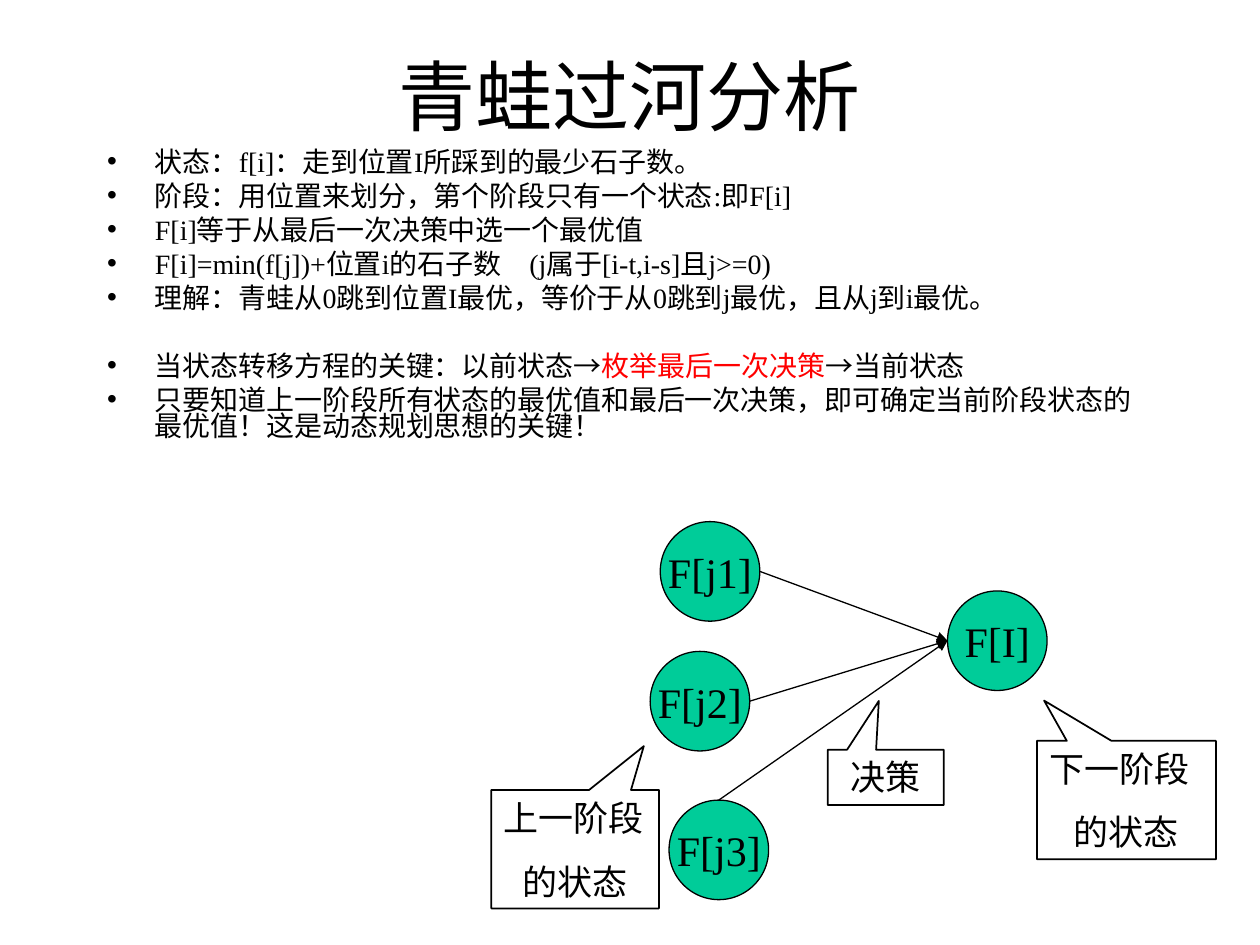
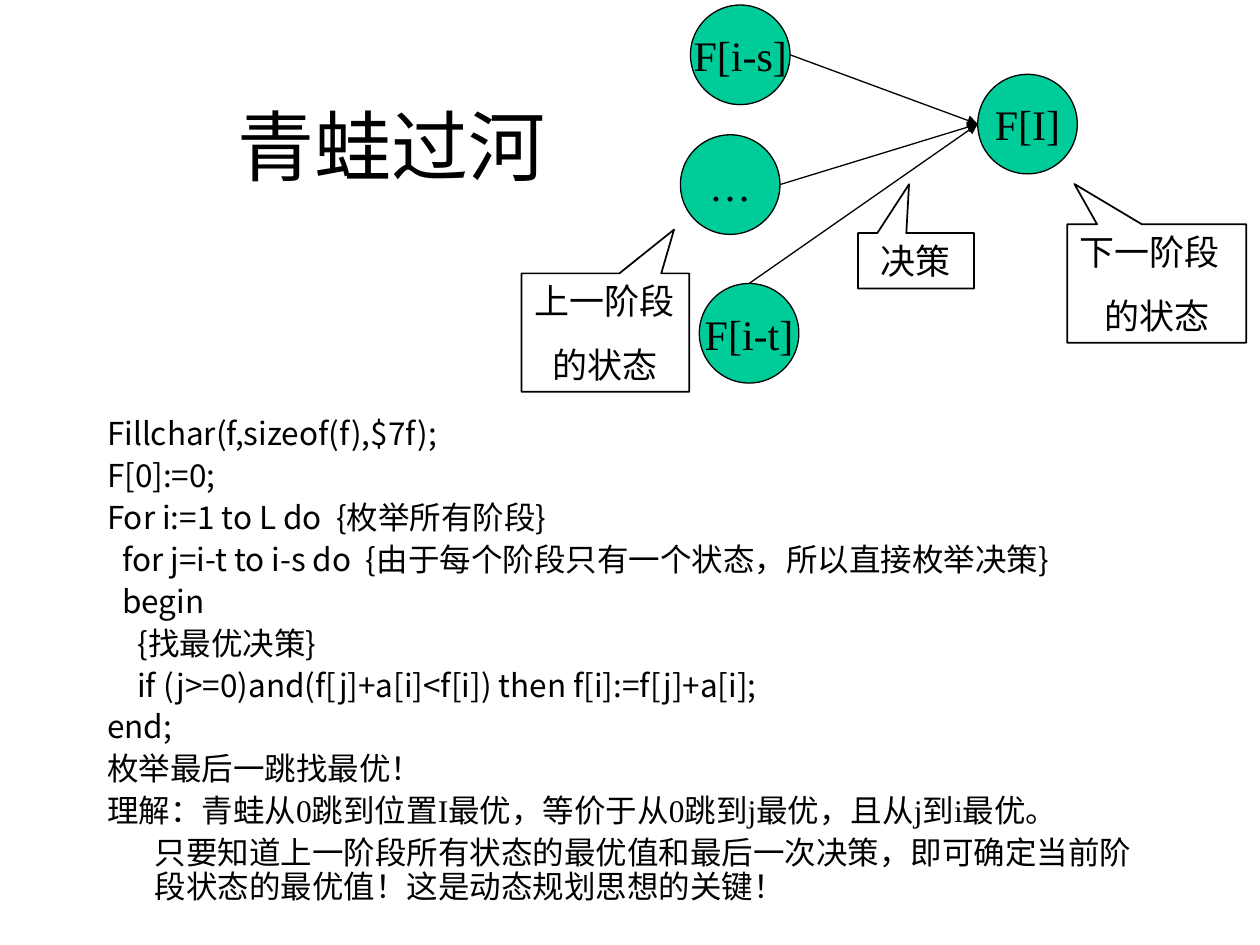
from dataclasses import dataclass

import pptx
import pptx.dml.color
import pptx.enum.shapes
import pptx.enum.text
import pptx.oxml.ns
import pptx.oxml.xmlchemy
import pptx.presentation
import pptx.shapes.autoshape
import pptx.shapes.base
import pptx.slide
import pptx.text.text
import pptx.util
from pptx.util import Inches

ALIGN = pptx.enum.text.PP_ALIGN
ANCHOR = pptx.enum.text.MSO_ANCHOR
FIT = pptx.enum.text.MSO_AUTO_SIZE
SHAPE = pptx.enum.shapes.MSO_SHAPE


@dataclass(frozen=True)
class Theme:
    ink: str = "000000"
    accent: str = "FF0000"
    node: str = "00CC99"
    serif: str = "Times New Roman"
    sans: str = "Arial"
    chinese: str = "Noto Sans CJK SC"
    title_size: float = 44
    node_size: float = 24
    callout_size: float = 20
    code_size: float = 18
    list_size: float = 16
    node_line: float = 0.75
    callout_line: float = 1


THEME = Theme()


@dataclass(frozen=True)
class Span:
    text: str
    font: str = THEME.serif
    color: str = THEME.ink


@dataclass(frozen=True)
class Line:
    spans: tuple[Span, ...]
    margin: float = 0.38
    indent: float = -0.38
    space_before: float = 4


@dataclass(frozen=True)
class Box:
    left: float
    top: float
    width: float
    height: float

    def moved(self, right: float, down: float) -> "Box":
        return Box(self.left + right, self.top + down, self.width, self.height)


@dataclass(frozen=True)
class Callout:
    box: Box
    tip: tuple[float, float]
    lines: tuple[tuple[str, ALIGN], ...]


NODE_DIAMETER = 0.79
TARGET = Box(7.52, 4.69, NODE_DIAMETER, NODE_DIAMETER)
SOURCES = tuple(
    Box(left, top, NODE_DIAMETER, NODE_DIAMETER)
    for left, top in ((5.24, 4.14), (5.16, 5.17), (5.31, 6.35))
)
# Where each arrow leaves its source, as shares of width and height
ARROW_STARTS = ((1, 0.5), (1, 0.5), (0.5, 0))
CALLOUTS = (
    Callout(Box(3.9, 6.27, 1.33, 0.94), (0.41, -0.87),
            (("上一阶段", ALIGN.LEFT), ("的状态", ALIGN.CENTER))),
    Callout(Box(8.23, 5.88, 1.42, 0.94), (-0.46, -0.84),
            (("下一阶段", ALIGN.LEFT), ("的状态", ALIGN.CENTER))),
    Callout(Box(6.57, 5.95, 0.92, 0.44), (-0.06, -1.38), (("决策", ALIGN.CENTER),)),
)

ANALYSIS = (
    Line((Span("状态：f[i]：走到位置I所踩到的最少石子数。"),)),
    Line((Span("阶段：用位置来划分，第个阶段只有一个状态:即F[i]"),)),
    Line((Span("F[i]等于从最后一次决策中选一个最优值"),)),
    Line((Span("F[i]=min(f[j])+位置i的石子数　(j属于[i-t,i-s]且j>=0)"),)),
    Line((Span("理解：青蛙从0跳到位置I最优，等价于从0跳到j最优，且从j到i最优。"),)),
    Line((
        Span("当状态转移方程的关键：以前状态"),
        Span("→", THEME.sans),
        Span("枚举最后一次决策", color=THEME.accent),
        Span("→", THEME.sans),
        Span("当前状态"),
    ), space_before=23.5),
    Line((Span("只要知道上一阶段所有状态的最优值和最后一次决策，"
               "即可确定当前阶段状态的最优值！这是动态规划思想的关键！"),)),
)


def code_line(text: str, depth: int = 0) -> Line:
    return Line((Span(text, THEME.chinese),), 0.12 * depth, 0, 4.5)


PROGRAM = (
    code_line("Fillchar(f,sizeof(f),$7f);"),
    code_line("F[0]:=0;"),
    code_line("For i:=1 to L do  {枚举所有阶段}"),
    code_line("for j=i-t to i-s do  {由于每个阶段只有一个状态，所以直接枚举决策}", 1),
    code_line("begin", 1),
    code_line("{找最优决策}", 2),
    code_line("if (j>=0)and(f[j]+a[i]<f[i]) then f[i]:=f[j]+a[i];", 2),
    code_line("end;"),
    code_line("枚举最后一跳找最优！"),
    Line(ANALYSIS[4].spans, 0, 0, 4.5),
    Line(ANALYSIS[-1].spans, 0.38, 0, 4.5),
)


def xml_element(tag: str, **attributes: str):
    element = pptx.oxml.xmlchemy.OxmlElement(tag)
    for name, value in attributes.items():
        element.set(name, value)
    return element


def rgb(color: str) -> pptx.dml.color.RGBColor:
    return pptx.dml.color.RGBColor.from_string(color)


def add_span(paragraph: pptx.text.text._Paragraph, span: Span, size: float) -> None:
    run = paragraph.add_run()
    run.text = span.text
    run.font.size = pptx.util.Pt(size)
    run.font.color.rgb = rgb(span.color)
    run.font.name = span.font
    run.font._element.append(xml_element("a:ea", typeface=THEME.chinese))


def next_paragraph(frame: pptx.text.text.TextFrame, index: int) -> pptx.text.text._Paragraph:
    return frame.add_paragraph() if index else frame.paragraphs[0]


def place(shape: pptx.shapes.base.BaseShape, box: Box) -> None:
    shape.left, shape.top = Inches(box.left), Inches(box.top)
    shape.width, shape.height = Inches(box.width), Inches(box.height)


def fill_title(slide: pptx.slide.Slide, text: str, box: Box) -> None:
    title = slide.shapes.title
    place(title, box)
    title.text_frame.auto_size = FIT.NONE
    title.text_frame.vertical_anchor = ANCHOR.MIDDLE
    paragraph = title.text_frame.paragraphs[0]
    paragraph.alignment = ALIGN.CENTER
    add_span(paragraph, Span(text), THEME.title_size)


def fill_body(slide: pptx.slide.Slide, lines: tuple[Line, ...], box: Box,
              size: float, spacing: float, bulleted: bool) -> None:
    body = slide.placeholders[1]
    place(body, box)
    body.text_frame.auto_size = FIT.NONE
    for index, line in enumerate(lines):
        paragraph = next_paragraph(body.text_frame, index)
        paragraph.line_spacing = spacing
        paragraph.space_before = pptx.util.Pt(line.space_before)
        properties = paragraph._p.get_or_add_pPr()
        properties.set("marL", str(Inches(line.margin)))
        properties.set("indent", str(Inches(line.indent)))
        if not bulleted:
            properties.append(xml_element("a:buNone"))
        for span in line.spans:
            add_span(paragraph, span, size)


def add_outlined_shape(slide: pptx.slide.Slide, kind: SHAPE, box: Box,
                       line_width: float) -> pptx.shapes.autoshape.Shape:
    shape = slide.shapes.add_shape(kind, Inches(box.left), Inches(box.top),
                                   Inches(box.width), Inches(box.height))
    shape.shadow.inherit = False
    shape.line.color.rgb = rgb(THEME.ink)
    shape.line.width = pptx.util.Pt(line_width)
    return shape


def add_node(slide: pptx.slide.Slide, label: str, box: Box) -> None:
    node = add_outlined_shape(slide, SHAPE.OVAL, box, THEME.node_line)
    node.fill.solid()
    node.fill.fore_color.rgb = rgb(THEME.node)
    node.text_frame.word_wrap = False
    node.text_frame.vertical_anchor = ANCHOR.MIDDLE
    paragraph = node.text_frame.paragraphs[0]
    paragraph.alignment = ALIGN.CENTER
    add_span(paragraph, Span(label), THEME.node_size)


def add_arrow(slide: pptx.slide.Slide, source: Box, start: tuple[float, float],
              target: Box) -> None:
    """Draw from a point on the source to the middle of the target's left side."""
    arrow = slide.shapes.add_connector(
        pptx.enum.shapes.MSO_CONNECTOR.STRAIGHT,
        Inches(source.left + start[0] * source.width),
        Inches(source.top + start[1] * source.height),
        Inches(target.left), Inches(target.top + target.height / 2))
    arrow.line.color.rgb = rgb(THEME.ink)
    arrow.line.width = pptx.util.Pt(THEME.node_line)
    properties = arrow._element.spPr
    outline = properties.find(pptx.oxml.ns.qn("a:ln"))
    outline.append(xml_element("a:tailEnd", type="triangle"))
    properties.append(xml_element("a:effectLst"))


def add_callout(slide: pptx.slide.Slide, callout: Callout, box: Box) -> None:
    shape = add_outlined_shape(slide, SHAPE.RECTANGULAR_CALLOUT, box, THEME.callout_line)
    shape.fill.background()
    shape.adjustments[0], shape.adjustments[1] = callout.tip
    frame = shape.text_frame
    frame.word_wrap = True
    frame.auto_size = FIT.SHAPE_TO_FIT_TEXT
    frame.vertical_anchor = ANCHOR.TOP
    for index, (text, alignment) in enumerate(callout.lines):
        paragraph = next_paragraph(frame, index)
        paragraph.alignment = alignment
        paragraph.space_before = pptx.util.Pt(12.5)
        add_span(paragraph, Span(text), THEME.callout_size)


def add_transition_diagram(slide: pptx.slide.Slide, labels: tuple[str, ...],
                           right: float = 0, down: float = 0) -> None:
    target = TARGET.moved(right, down)
    sources = [source.moved(right, down) for source in SOURCES]
    add_node(slide, "F[I]", target)
    for label, source in zip(labels, sources):
        add_node(slide, label, source)
    for source, start in zip(sources, ARROW_STARTS):
        add_arrow(slide, source, start, target)
    for callout in CALLOUTS:
        add_callout(slide, callout, callout.box.moved(right, down))


def build_analysis(presentation: pptx.presentation.Presentation) -> None:
    slide = presentation.slides.add_slide(presentation.slide_layouts[1])
    fill_title(slide, "青蛙过河分析", Box(0.75, 0.13, 8.5, 1.25))
    fill_body(slide, ANALYSIS, Box(0.75, 1.15, 8.5, 2.52), THEME.list_size, 0.8, True)
    add_transition_diagram(slide, ("F[j1]", "F[j2]", "F[j3]"))


def build_program(presentation: pptx.presentation.Presentation) -> None:
    slide = presentation.slides.add_slide(presentation.slide_layouts[1])
    fill_title(slide, "青蛙过河", Box(-1.14, 0.52, 8.5, 1.25))
    fill_body(slide, PROGRAM, Box(0.75, 3.27, 8.5, 4.5), THEME.code_size, 0.9, False)
    add_transition_diagram(slide, ("F[i-s]", "…", "F[i-t]"), 0.24, -4.1)


def main() -> None:
    presentation = pptx.Presentation()
    presentation.slide_width, presentation.slide_height = Inches(10), Inches(7.5)
    build_analysis(presentation)
    build_program(presentation)
    presentation.save("out.pptx")


if __name__ == "__main__":
    main()
